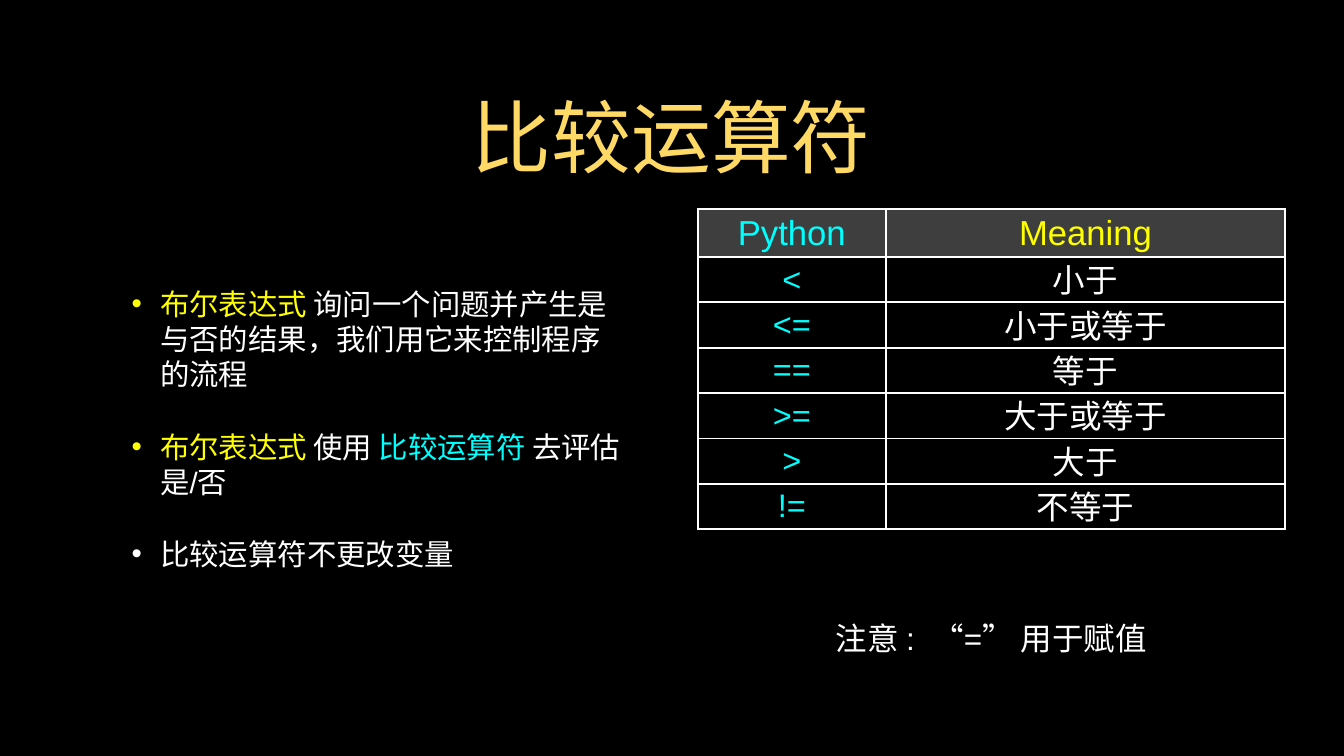
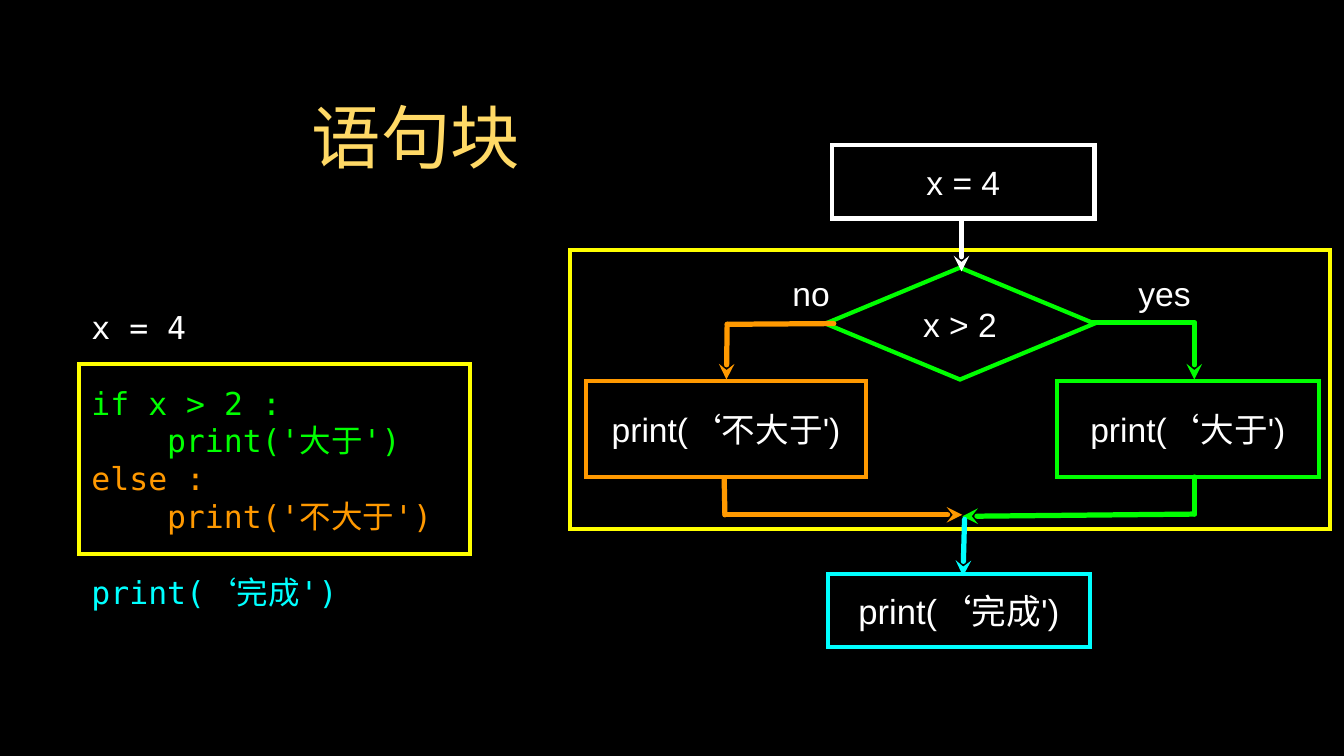
import pptx
import pptx.util
import pptx.dml.color
import pptx.enum.dml
import pptx.enum.shapes
import pptx.enum.text
import pptx.oxml
import pptx.oxml.ns

Inches = pptx.util.Inches
Pt = pptx.util.Pt
RGBColor = pptx.dml.color.RGBColor
Kind = pptx.enum.shapes.MSO_SHAPE
Align = pptx.enum.text.PP_ALIGN

BLACK = RGBColor(0, 0, 0)
WHITE = RGBColor(255, 255, 255)
GOLD = RGBColor(0xFF, 0xD9, 0x66)
YELLOW = RGBColor(255, 255, 0)
CYAN = RGBColor(0, 255, 255)
GREEN = RGBColor(0, 255, 0)
ORANGE = RGBColor(255, 0x99, 0)
GREY = RGBColor(0x7F, 0x7F, 0x7F)
SANS = "Arial"
MONO = "DejaVu Sans Mono"


def node(owner, tag, **attrs):
    item = pptx.oxml.parse_xml(f"<a:{tag} {pptx.oxml.ns.nsdecls('a')}/>")
    for key, value in attrs.items():
        item.set(key, str(value))
    owner.append(item)
    return item


def place(shape, box):
    shape.left, shape.top, shape.width, shape.height = map(Inches, box)


def shift(x, y, box):
    left, top, *size = box
    return x + left, y + top, *size


def frame(shape, inset=0):
    text = shape.text_frame
    text.word_wrap = True
    text.auto_size = pptx.enum.text.MSO_AUTO_SIZE.NONE
    text.vertical_anchor = pptx.enum.text.MSO_ANCHOR.MIDDLE
    text.margin_left = text.margin_right = Inches(inset)
    text.margin_top = text.margin_bottom = Inches(inset)
    return text


def write(para, runs, size, align=Align.CENTER, face=SANS):
    para.alignment = align
    for words, color in runs:
        run = para.add_run()
        run.text = words
        run.font.name = face
        run.font.size = Pt(size)
        run.font.color.rgb = color


def paras(text, count):
    return [text.paragraphs[0]] + [text.add_paragraph() for _ in range(count - 1)]


def label(slide, box, words, size):
    text = frame(slide.shapes.add_textbox(*map(Inches, box)))
    write(text.paragraphs[0], [(words, WHITE)], size)


def outline(slide, box, color, words="", size=32, kind=Kind.RECTANGLE):
    shape = slide.shapes.add_shape(kind, *map(Inches, box))
    shape.shadow.inherit = False
    shape.fill.background()
    shape.line.color.rgb = color
    shape.line.width = Pt(4)
    node(shape.line._get_or_add_ln(), "miter", lim=800000)
    if words:
        write(frame(shape).paragraphs[0], [(words, WHITE)], size)


def route(slide, points, color):
    for start, end in zip(points, points[1:]):
        link = slide.shapes.add_connector(
            pptx.enum.shapes.MSO_CONNECTOR.STRAIGHT, *map(Inches, start + end))
        link.line.color.rgb = color
        link.line.width = Pt(5)
        line = link.line._get_or_add_ln()
        line.set("cap", "rnd")
        node(link._element.spPr, "effectLst")
    node(line, "tailEnd", type="stealth")


def titled(deck, words, size, width):
    slide = deck.slides.add_slide(deck.slide_layouts[5])
    title = slide.shapes.title
    place(title, (1.26, 0.82, width, 1.96))
    write(frame(title, 0.04).paragraphs[0], [(words, GOLD)], size)
    return slide


def band(deck, slide):
    strip = slide.shapes.add_shape(Kind.RECTANGLE, *map(Inches, (0, 9.14, 17.78, 0.86)))
    strip.shadow.inherit = False
    strip.fill.solid()
    strip.fill.fore_color.rgb = BLACK
    strip.line.fill.background()
    deck.slide_master.shapes._spTree.insert(2, strip._element)


def bullets(slide, box):
    items = [
        (YELLOW, [("布尔表达式 ", YELLOW),
                  ("询问一个问题并产生是与否的结果，我们用它来控制程序的流程", WHITE)]),
        (YELLOW, [("布尔表达式", YELLOW), (" 使用 ", WHITE),
                  ("比较运算符", CYAN), (" 去评估是/否", WHITE)]),
        (WHITE, [("比较运算符不更改变量", WHITE)]),
    ]
    text = frame(slide.shapes.add_textbox(*map(Inches, box)), 0.04)
    for rank, (para, (dot, runs)) in enumerate(zip(paras(text, len(items)), items)):
        write(para, runs, 28, Align.LEFT)
        para.space_before = Pt(35 if rank else 0)
        props = para._p.get_or_add_pPr()
        props.set("marL", str(Inches(0.82)))
        props.set("indent", str(Inches(-0.38)))
        node(node(props, "buClr"), "srgbClr", val=dot)
        node(props, "buFont", typeface=SANS)
        node(props, "buChar", char="•")


def border(cell):
    props = cell._tc.get_or_add_tcPr()
    for side in ("lnL", "lnR", "lnT", "lnB"):
        line = node(props, side, w=Pt(2))
        node(node(line, "solidFill"), "srgbClr", val=WHITE)


def grid(slide, box):
    rows = [("Python", "Meaning"), ("<", "小于"), ("<=", "小于或等于"),
            (" == ", "等于"), (">=", "大于或等于"), (">", "大于"), ("!=", "不等于")]
    table = slide.shapes.add_table(len(rows), 2, *map(Inches, box)).table
    table.first_row = table.horz_banding = False
    for col, width in zip(table.columns, (2.49, 5.28)):
        col.width = Inches(width)
    for r, row in enumerate(rows):
        head = r == 0
        table.rows[r].height = Inches(0.63 if head else 0.6)
        for c, (words, color) in enumerate(zip(row, (CYAN, YELLOW if head else WHITE))):
            cell = table.cell(r, c)
            border(cell)
            if head:
                cell.fill.solid()
                cell.fill.fore_color.rgb = GREY
                tint = cell._tc.tcPr.find(pptx.oxml.ns.qn("a:solidFill"))[0]
                node(tint, "alpha", val=49000)
            else:
                cell.fill.background()
            cell.vertical_anchor = pptx.enum.text.MSO_ANCHOR.MIDDLE
            cell.margin_left = cell.margin_right = Inches(0.04)
            cell.margin_top = cell.margin_bottom = Inches(0.04)
            para = cell.text_frame.paragraphs[0]
            write(para, [(words, color)], 33 if head else 31)
            if c and not head:
                cell.margin_bottom = 0
                para.line_spacing = Pt(40)


def code(slide, x, y):
    lines = [
        ("x = 4", WHITE, 0, 0),
        ("if x > 2 :", GREEN, 0, 36),
        ("print('大于')", GREEN, 1, 0),
        ("else :", ORANGE, 0, 0),
        ("print('不大于')", ORANGE, 1, 0),
        ("print(‘完成')", CYAN, 0, 36),
    ]
    outline(slide, shift(x, y, (0, 0.87, 5.17, 2.51)), YELLOW)
    box = shift(x, y, (0.16, 0, 5.26, 4.25))
    text = frame(slide.shapes.add_textbox(*map(Inches, box)))
    for para, (words, color, depth, gap) in zip(paras(text, len(lines)), lines):
        write(para, [(words, color)], 30, Align.LEFT, MONO)
        para.space_before = Pt(gap)
        para._p.get_or_add_pPr().set("marL", str(Inches(depth)))


def flow(slide, x, y):
    boxes = [
        ((0, 1.39, 10.05, 3.69), YELLOW, ""),
        ((6.44, 3.12, 3.47, 1.27), GREEN, "print(‘大于')"),
        ((3.47, 0, 3.47, 0.97), WHITE, "x = 4"),
        ((0.21, 3.12, 3.71, 1.27), ORANGE, "print(‘不大于')"),
    ]
    for box, color, words in boxes:
        outline(slide, shift(x, y, box), color, words)
    outline(slide, shift(x, y, (3.41, 5.67, 3.47, 0.97)), CYAN, "print(‘完成')", 33)
    outline(slide, shift(x, y, (3.38, 1.62, 3.56, 1.48)), GREEN, "x > 2", kind=Kind.DIAMOND)
    label(slide, shift(x, y, (7.42, 1.71, 0.89, 0.5)), "yes", 32)
    label(slide, shift(x, y, (2.92, 1.71, 0.54, 0.5)), "no", 32)
    routes = [
        (GREEN, [(6.91, 2.35), (8.26, 2.35), (8.26, 3.1)]),
        (GREEN, [(8.26, 4.39), (8.26, 4.88), (5.19, 4.91)]),
        (WHITE, [(5.18, 0.98), (5.18, 1.67)]),
        (ORANGE, [(3.49, 2.36), (2.08, 2.37), (2.07, 3.1)]),
        (ORANGE, [(2.04, 4.4), (2.05, 4.89), (5.19, 4.89)]),
        (CYAN, [(5.22, 4.95), (5.2, 5.7)]),
    ]
    for color, points in routes:
        route(slide, [shift(x, y, point) for point in points], color)


def main():
    deck = pptx.Presentation()
    deck.slide_width = Inches(17.78)
    deck.slide_height = Inches(10)
    back = deck.slide_master.background.fill
    back.solid()
    back.fore_color.rgb = BLACK

    slide = titled(deck, "比较运算符", 76, 15.24)
    band(deck, slide)
    bullets(slide, (1.26, 2.85, 7.05, 5.64))
    label(slide, (9.4, 8.15, 7.43, 0.58), "注意 :  “=” 用于赋值", 30)
    grid(slide, (9.23, 2.77, 7.77, 4.23))

    slide = titled(deck, "语句块", 66, 8.48)
    code(slide, 1.05, 3.95)
    flow(slide, 7.54, 1.92)

    deck.save("out.pptx")


if __name__ == "__main__":
    main()
